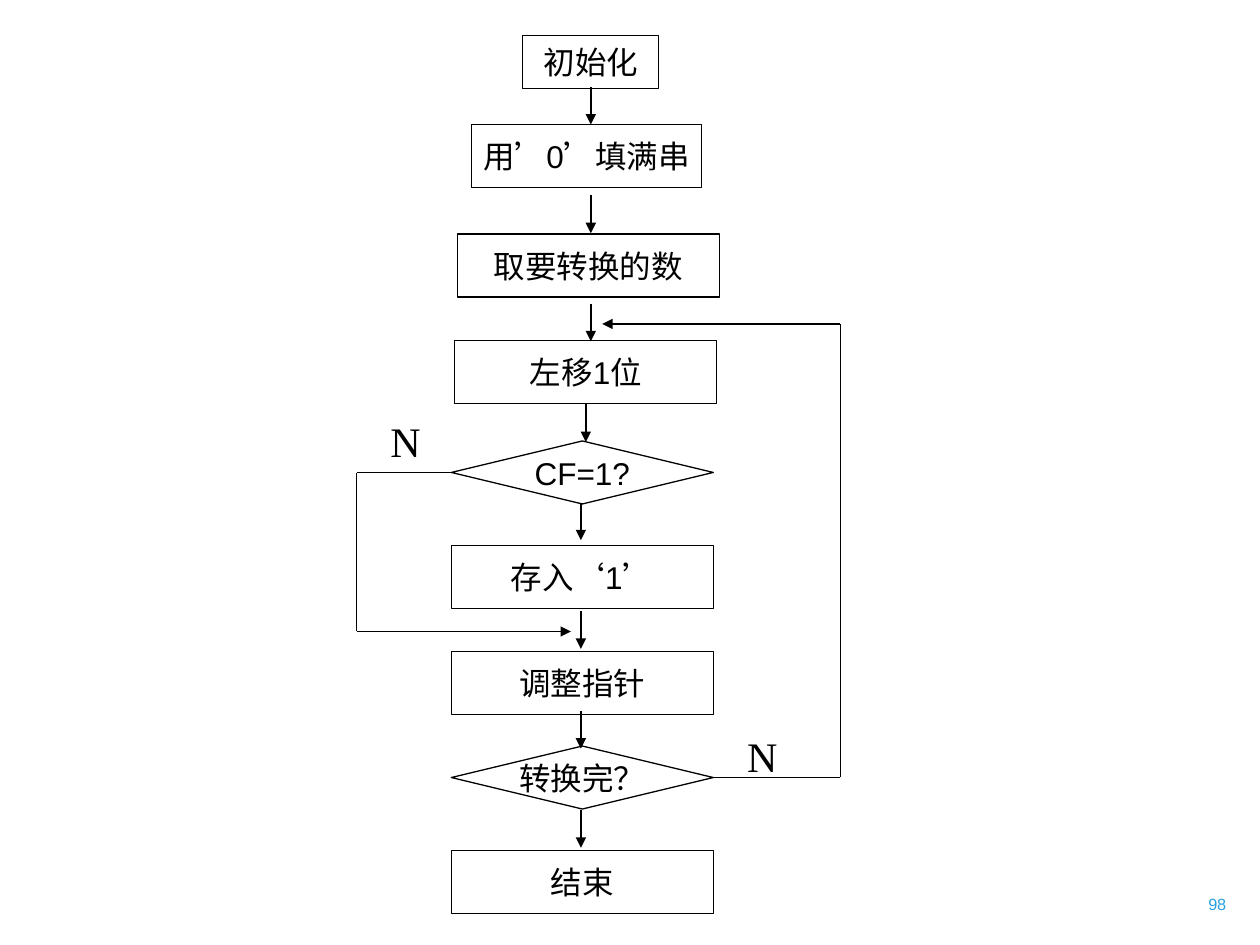
import pptx
import pptx.util
import pptx.dml.color
import pptx.enum.shapes
import pptx.enum.text
import pptx.oxml

Cm, Pt = pptx.util.Cm, pptx.util.Pt
KIND = pptx.enum.shapes.MSO_SHAPE
ALIGN = pptx.enum.text.PP_ALIGN
ANCHOR = pptx.enum.text.MSO_ANCHOR

INK = {"black": "000000", "blue": "2AA0DF"}
WIDE, HIGH, DROP = 5.28, 1.27, 0.76

# text, kind, left, top, width, height
STEPS = [
    ("初始化", "box", 10.54, 0.71, 2.74, 1.07),
    ("用’0’填满串", "box", 9.5, 2.51, 4.65, HIGH),
    ("取要转换的数", "box", 9.22, 4.72, WIDE, HIGH),
    ("左移1位", "box", 9.17, 6.86, WIDE, HIGH),
    ("CF=1?", "test", 9.1, 8.89, WIDE, HIGH),
    ("存入‘1’", "box", 9.1, 11, WIDE, HIGH),
    ("调整指针", "box", 9.1, 13.13, WIDE, HIGH),
    ("转换完？", "test", 9.1, 15.04, WIDE, HIGH),
    ("结束", "box", 9.1, 17.15, WIDE, HIGH),
]
# x, top of each short arrow down
DROPS = [
    (11.91, 1.75), (11.91, 3.94), (11.91, 6.12), (11.81, 8.15),
    (11.71, 10.13), (11.71, 12.32), (11.71, 14.33), (11.71, 16.33),
]
# corners of each branch, line width of its last leg
LOOPS = [
    ([(14.38, 15.67), (16.94, 15.67), (16.94, 6.53), (12.14, 6.53)], 0.75),
    ([(9.1, 9.53), (7.19, 9.53), (7.19, 12.73), (11.51, 12.73)], 1),
]
MARKS = [(14.81, 14.61), (7.62, 8.26)]


def color(name):
    return pptx.dml.color.RGBColor.from_string(INK[name])


def write(frame, text, size=18, font="Arial", ink="black",
          align=ALIGN.LEFT, anchor=ANCHOR.TOP, wrap=True, before=0, gap=1.0):
    frame.word_wrap = wrap
    frame.vertical_anchor = anchor
    par = frame.paragraphs[0]
    par.alignment = align
    par.space_before = Pt(before)
    par.line_spacing = gap
    run = par.add_run()
    run.text = text
    run.font.size = Pt(size)
    run.font.name = font
    run.font.color.rgb = color(ink)


def label(slide, text, left, top, width, height, **form):
    box = slide.shapes.add_textbox(Cm(left), Cm(top), Cm(width), Cm(height))
    write(box.text_frame, text, **form)


def step(slide, text, kind, left, top, width, height):
    shape = slide.shapes.add_shape(
        KIND.DIAMOND if kind == "test" else KIND.RECTANGLE,
        Cm(left), Cm(top), Cm(width), Cm(height))
    shape.shadow.inherit = False
    shape.fill.background()
    shape.line.color.rgb = color("black")
    shape.line.width = Pt(0.75)
    write(shape.text_frame, text, align=ALIGN.CENTER,
          anchor=ANCHOR.MIDDLE, wrap=False)


def wire(slide, start, end, width=0.75, head=False):
    line = slide.shapes.add_connector(
        pptx.enum.shapes.MSO_CONNECTOR.STRAIGHT,
        *[Cm(v) for v in (*start, *end)])
    line.line.color.rgb = color("black")
    line.line.width = Pt(width)
    space = 'xmlns:a="http://schemas.openxmlformats.org/drawingml/2006/main"'
    if head:
        line.line._get_or_add_ln().append(pptx.oxml.parse_xml(
            f'<a:tailEnd {space} type="triangle"/>'))
    line._element.spPr.append(pptx.oxml.parse_xml(f"<a:effectLst {space}/>"))


def main():
    deck = pptx.Presentation()
    deck.slide_width, deck.slide_height = Cm(25.4), Cm(19.05)
    slide = deck.slides.add_slide(deck.slide_layouts[6])
    label(slide, "98", 22.86, 17.98, 2.11, 0.69, size=9.3, ink="blue",
          align=ALIGN.RIGHT, gap=0.8)
    for item in STEPS:
        step(slide, *item)
    for points, width in LOOPS:
        legs = list(zip(points, points[1:]))
        for start, end in legs[:-1]:
            wire(slide, start, end)
        wire(slide, *legs[-1], width=width, head=True)
    for left, top in MARKS:
        label(slide, "N", left, top, HIGH, HIGH, size=24,
              font="Times New Roman", before=15)
    for x, top in DROPS:
        wire(slide, (x, top), (x, top + DROP), width=1, head=True)
    deck.save("out.pptx")


if __name__ == "__main__":
    main()
